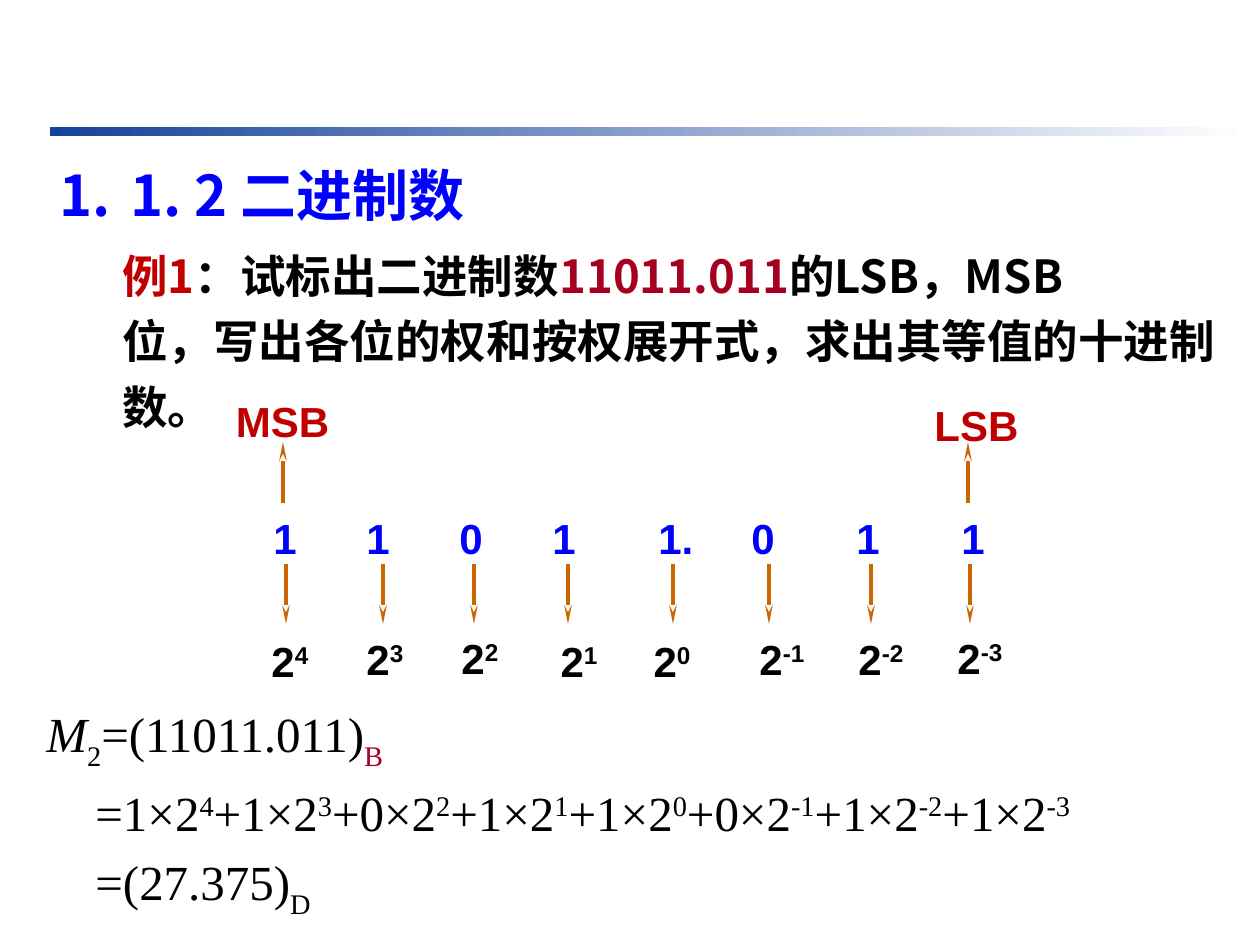
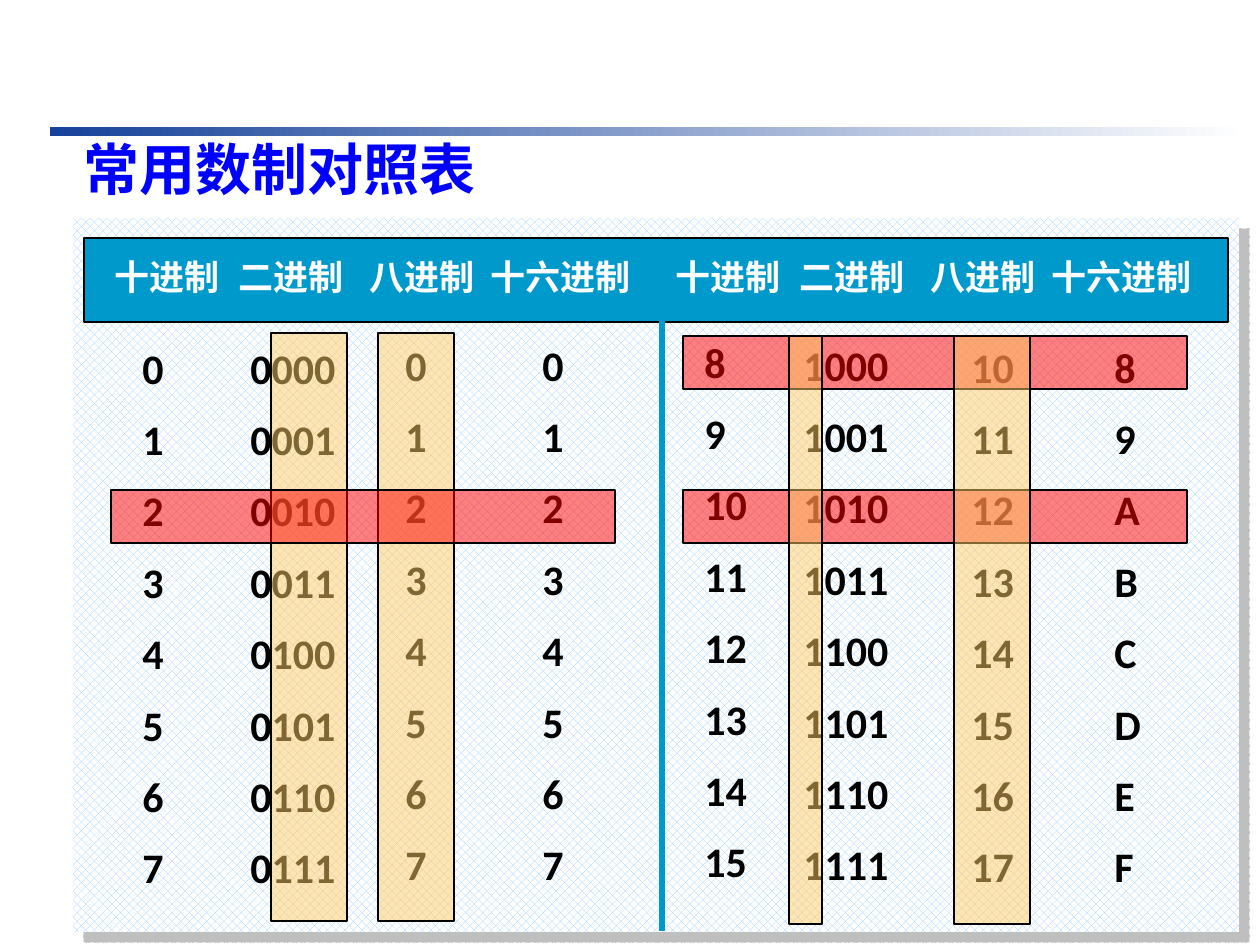
from lxml import etree
from pptx import Presentation
from pptx.dml.color import RGBColor
from pptx.enum.dml import MSO_PATTERN
from pptx.enum.shapes import MSO_CONNECTOR, MSO_SHAPE
from pptx.enum.text import PP_ALIGN
from pptx.oxml.ns import qn
from pptx.util import Emu, Pt

PX_PER_INCH = 126
RECT = MSO_SHAPE.RECTANGLE
STRAIGHT = MSO_CONNECTOR.STRAIGHT
DOTS = MSO_PATTERN.PERCENT_50
LEFT, CENTER = PP_ALIGN.LEFT, PP_ALIGN.CENTER

BLACK = RGBColor(0x00, 0x00, 0x00)
WHITE = RGBColor(0xFF, 0xFF, 0xFF)
NAVY = RGBColor(0x16, 0x42, 0x9A)
BLUE = RGBColor(0x00, 0x00, 0xFF)
RED = RGBColor(0xC0, 0x00, 0x00)
CRIMSON = RGBColor(0xA5, 0x00, 0x21)
ORANGE = RGBColor(0xCC, 0x66, 0x00)
TEAL = RGBColor(0x00, 0x99, 0xCC)
PALE_BLUE = RGBColor(0x99, 0xCC, 0xFF)
AMBER = RGBColor(0xFF, 0xCC, 0x66)
BRIGHT_RED = RGBColor(0xFF, 0x00, 0x00)

CJK = "Noto Sans CJK SC"
SERIF = "Times New Roman"
SANS = "Arial"
TABLE_FONT = "Calibri"
SUPER, SUB = 30, -30
WIDE_SPACING = 1.2

# digit, its box left, arrow x, exponent, weight box left and top
BITS = [
    ("1", 261, 286, "4", 240, 629),
    ("1", 354, 383, "3", 335, 627),
    ("0", 447, 474, "2", 430, 626),
    ("1", 540, 568, "1", 529, 629),
    ("1.", 646, 673, "0", 622, 629),
    ("0", 739, 769, "-1", 732, 627),
    ("1", 844, 871, "-2", 831, 627),
    ("1", 949, 970, "-3", 930, 626),
]

BASES = ["十进制", "二进制", "八进制", "十六进制"]
HEADER_OFFSETS = [0, 124, 255, 376]

# left, top, width, number format, first value
COLUMNS = [
    (130, 336, 49, "d", 0),
    (238, 336, 158, "04b", 0),
    (393, 333, 49, "o", 0),
    (530, 333, 49, "X", 0),
    (692, 330, 95, "d", 8),
    (791, 333, 136, "04b", 8),
    (959, 335, 91, "o", 8),
    (1102, 335, 95, "X", 8),
]

# left, top, width, height, colour
HIGHLIGHTS = [
    (271, 333, 76, 588, AMBER),
    (378, 333, 76, 588, AMBER),
    (111, 490, 504, 53, BRIGHT_RED),
    (683, 336, 504, 53, BRIGHT_RED),
    (683, 490, 504, 53, BRIGHT_RED),
    (789, 336, 33, 588, AMBER),
    (954, 336, 76, 588, AMBER),
]


def px(n):
    return Emu(round(n * 914400 / PX_PER_INCH))


def add_text_frame(slide, x, y, w, h):
    tf = slide.shapes.add_textbox(px(x), px(y), px(w), px(h)).text_frame
    tf.word_wrap = True
    return tf


def add_paragraph(tf, align=LEFT, before=0, margin=0, indent=0):
    """Start a paragraph, reusing the empty first one of the frame."""
    first = tf.paragraphs[0]
    p = tf.add_paragraph() if first.runs else first
    p.alignment = align
    p.space_before = Pt(before)
    pPr = p._p.get_or_add_pPr()
    pPr.set("marL", str(px(margin)))
    pPr.set("indent", str(px(indent)))
    return p


def add_run(p, text, size, font, color, bold=False, italic=False, base=0):
    r = p.add_run()
    r.text = text
    f = r.font
    f.size, f.name, f.bold, f.italic = Pt(size), font, bold, italic
    f.color.rgb = color
    if base:
        f._element.set("baseline", str(base * 1000))
    etree.SubElement(f._element, qn("a:ea"), typeface=CJK)


def add_label(slide, x, y, w, h, text, size, font, color, align=LEFT):
    p = add_paragraph(add_text_frame(slide, x, y, w, h), align)
    add_run(p, text, size, font, color, bold=True)
    return p


def add_rect(slide, x, y, w, h, line=None):
    sp = slide.shapes.add_shape(RECT, px(x), px(y), px(w), px(h))
    if line is None:
        sp.line.fill.background()
    else:
        sp.line.color.rgb = line
        sp.line.width = Pt(0.75)
    sp.shadow.inherit = False
    return sp


def add_filled_rect(slide, x, y, w, h, color, line=None, alpha=None):
    sp = add_rect(slide, x, y, w, h, line)
    sp.fill.solid()
    sp.fill.fore_color.rgb = color
    if alpha is not None:
        clr = sp._element.spPr.find(qn("a:solidFill"))[0]
        etree.SubElement(clr, qn("a:alpha"), val=str(alpha * 1000))


def add_line(slide, x1, y1, x2, y2, color, width, arrow=False):
    cn = slide.shapes.add_connector(STRAIGHT, px(x1), px(y1), px(x2), px(y2))
    cn.line.color.rgb = color
    cn.line.width = Pt(width)
    if arrow:
        ln = cn._element.spPr.find(qn("a:ln"))
        etree.SubElement(ln, qn("a:tailEnd"), type="stealth", w="sm", len="lg")
    etree.SubElement(cn._element.spPr, qn("a:effectLst"))


def add_arrow(slide, x, y1, y2):
    add_line(slide, x, y1, x, y2, ORANGE, 2.25, arrow=True)


def add_slide_with_band(prs):
    slide = prs.slides.add_slide(prs.slide_layouts[6])
    fill = add_rect(slide, 50, 127, 1196, 9).fill
    fill.gradient()
    fill.gradient_angle = 0
    for stop, color, position in zip(fill.gradient_stops, (NAVY, WHITE), (0, 1)):
        stop.color.rgb = color
        stop.position = position
    return slide


def add_question(slide):
    tf = add_text_frame(slide, 47, 141, 1193, 315)
    p = add_paragraph(tf, margin=71, indent=-71)
    p.line_spacing = WIDE_SPACING
    etree.SubElement(p._p.pPr, qn("a:buAutoNum"), type="arabicPeriod")
    add_run(p, "1. 2 二进制数", 32, CJK, BLUE, bold=True)
    p = add_paragraph(tf, before=5.2, margin=63)
    p.line_spacing = WIDE_SPACING
    for text, color in [
        ("例1", RED),
        ("：试标出二进制数", BLACK),
        ("11011.011", CRIMSON),
        ("的LSB，MSB", BLACK),
    ]:
        add_run(p, text, 26, CJK, color, bold=True)
    p.add_line_break()
    add_run(p, "位，写出各位的权和按权展开式，求出其等值的十进制数。", 26, CJK,
            BLACK, bold=True)


def add_expansion(slide):
    tf = add_text_frame(slide, 34, 697, 1226, 228)

    def write(p, text, base=0, color=BLACK, italic=False):
        add_run(p, text, 28, SERIF, color, italic=italic, base=base)

    p = add_paragraph(tf)
    write(p, "M", italic=True)
    write(p, "2", SUB)
    write(p, "=(11011.011)")
    write(p, "B", SUB, CRIMSON)
    p = add_paragraph(tf, before=5.6, margin=49)
    for i, (digit, _, _, exponent, _, _) in enumerate(BITS):
        write(p, f"{'+' if i else '='}{digit[0]}×2")
        write(p, exponent, SUPER)
    p = add_paragraph(tf, before=5.6, margin=49)
    write(p, "=(27.375)")
    write(p, "D", SUB)


def add_bit_diagram(slide):
    for digit, digit_x, arrow_x, exponent, x, y in BITS:
        add_label(slide, digit_x, 506, 70, 63, digit, 24, SANS, BLUE)
        add_arrow(slide, arrow_x, 564, 624)
        p = add_label(slide, x, y, 100, 63, "2", 24, SANS, BLACK, CENTER)
        add_run(p, exponent, 24, SANS, BLACK, bold=True, base=SUPER)
    for text, arrow_x, x, y, w in [
        ("MSB", 283, 198, 389, 169),
        ("LSB", 968, 902, 393, 149),
    ]:
        add_arrow(slide, arrow_x, 503, 442)
        add_label(slide, x, y, w, 63, text, 24, SANS, RED, CENTER)


def add_table_panel(slide):
    panel = add_rect(slide, 73, 218, 1166, 714)
    panel.fill.patterned()
    panel.fill.pattern = DOTS
    panel.fill.fore_color.rgb = PALE_BLUE
    panel.fill.back_color.rgb = WHITE
    effects = panel._element.spPr.find(qn("a:effectLst"))
    shadow = etree.SubElement(effects, qn("a:outerShdw"), dist=str(Pt(8.5)),
                              dir="2700000", algn="ctr", rotWithShape="0")
    clr = etree.SubElement(shadow, qn("a:srgbClr"), val="808080")
    etree.SubElement(clr, qn("a:alpha"), val="50000")


def add_table_header(slide):
    add_filled_rect(slide, 84, 238, 1144, 84, TEAL, line=BLACK)
    for left in (102, 663):
        for base, offset in zip(BASES, HEADER_OFFSETS):
            add_label(slide, left + offset, 249, 220, 54, base, 20,
                      TABLE_FONT, WHITE)
    add_line(slide, 662, 281, 662, 931, TEAL, 3)


def add_number_column(slide, x, y, w, number_format, first):
    tf = add_text_frame(slide, x, y, w, 591)
    for n in range(first, first + 8):
        p = add_paragraph(tf, before=0 if n == first else 12)
        add_run(p, format(n, number_format), 24, TABLE_FONT, BLACK, bold=True)


def main():
    prs = Presentation()
    prs.slide_width, prs.slide_height = px(1260), px(945)

    slide = add_slide_with_band(prs)
    add_question(slide)
    add_expansion(slide)
    add_bit_diagram(slide)

    slide = add_slide_with_band(prs)
    title = add_label(slide, 71, 115, 1162, 100, "常用数制对照表", 32, CJK, BLUE)
    title.line_spacing = WIDE_SPACING
    add_table_panel(slide)
    add_table_header(slide)
    for column in COLUMNS:
        add_number_column(slide, *column)
    for x, y, w, h, color in HIGHLIGHTS:
        add_filled_rect(slide, x, y, w, h, color, line=BLACK, alpha=50)

    prs.save("out.pptx")


if __name__ == "__main__":
    main()
